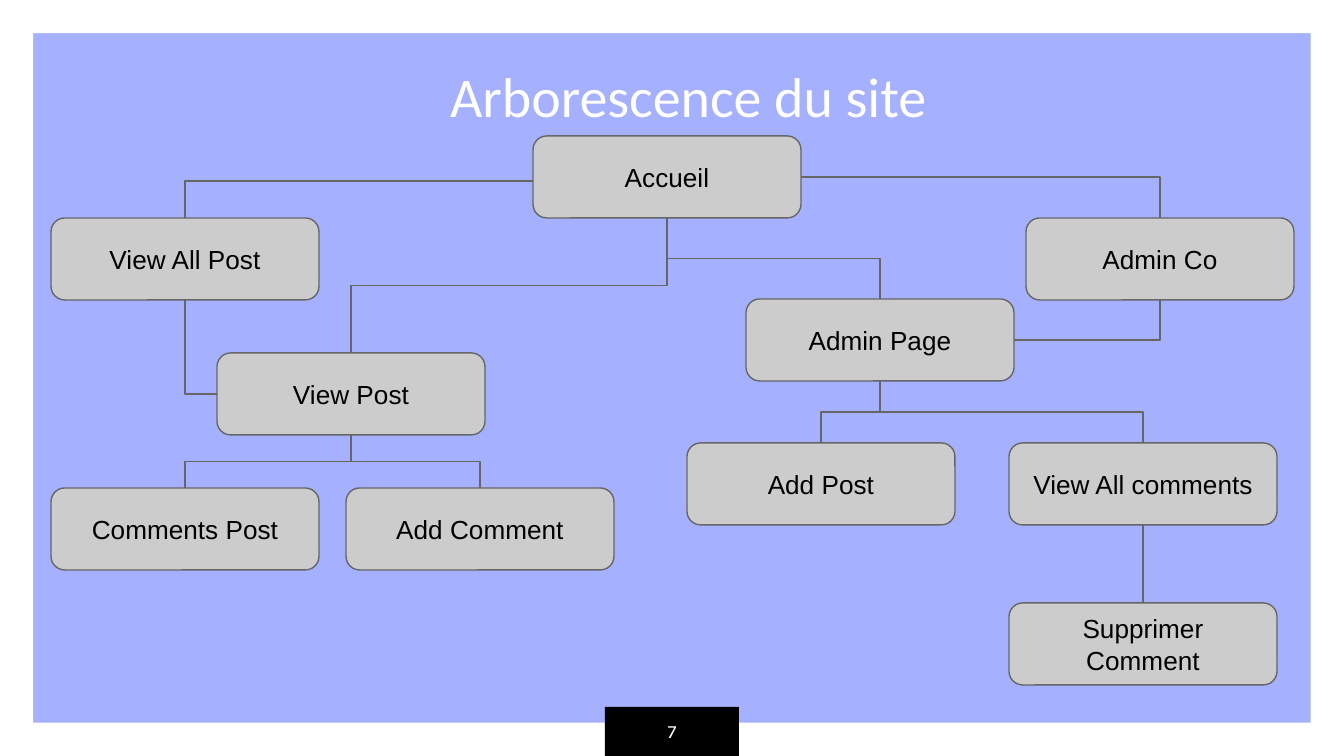
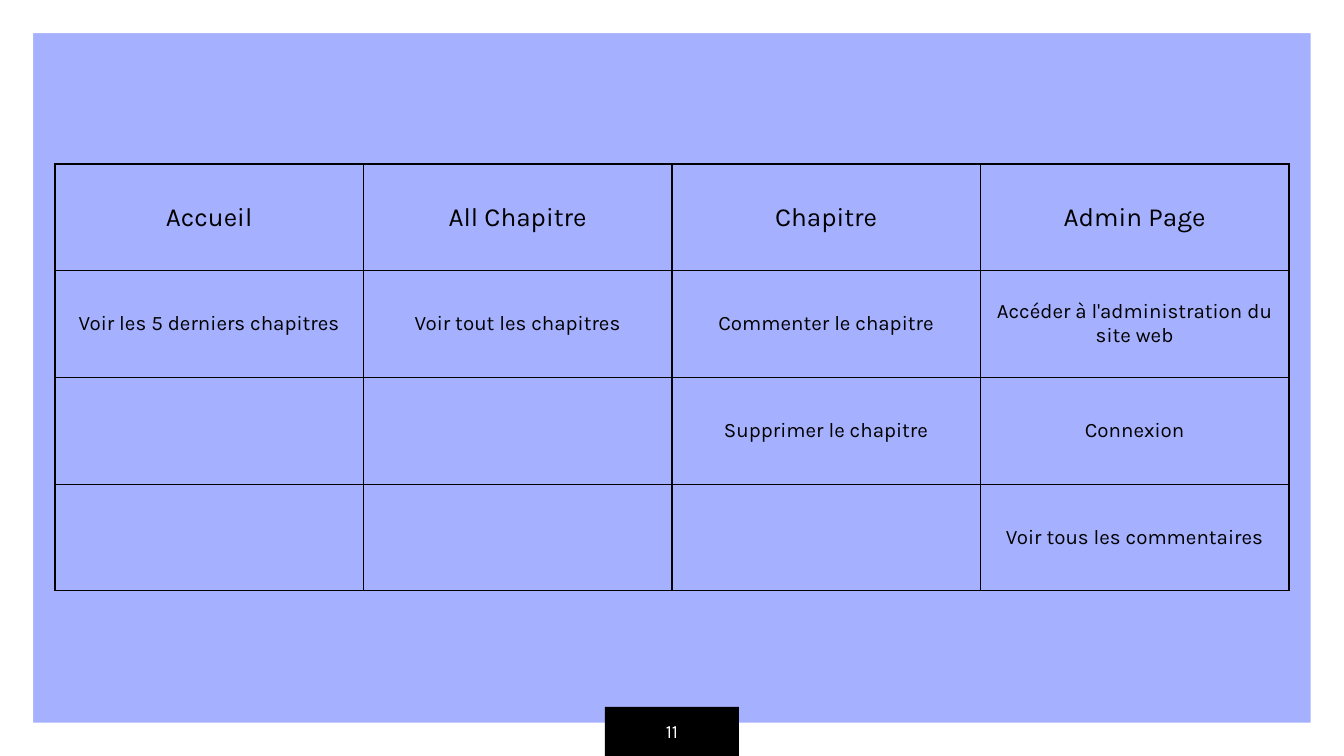
from lxml.etree import SubElement
from pptx import Presentation
from pptx.dml.color import RGBColor
from pptx.enum.shapes import MSO_CONNECTOR as LINK, MSO_SHAPE as SHAPE
from pptx.enum.text import MSO_ANCHOR as ANCHOR, PP_ALIGN as ALIGN
from pptx.oxml.ns import qn
from pptx.util import Pt

EMU_PER_PX = 914400 / 134.4
SLIDE = (0, 0, 1344, 756)
LAVENDER, WHITE, BLACK = "A5B0FE", "FFFFFF", "000000"
NODE_GREY, LINE_GREY = "CCCCCC", "666666"
BODY_FONT, TITLE_FONT, NODE_FONT = "Karla", "Calibri", "Arial"
INSET = 13
HAIRLINE = Pt(0.75)
TOP, LEFT, BOTTOM, RIGHT = range(4)

NODE_SIZE = (268, 82)
PAGES = {
    "Accueil": (482, 0),
    "View All Post": (0, 82),
    "View Post": (166, 217),
    "Admin Co": (975, 82),
    "Admin Page": (695, 163),
    "Comments Post": (0, 352),
    "View All comments": (958, 307),
    "Supprimer Comment": (958, 467),
    "Add Comment": (295, 352),
    "Add Post": (636, 307),
}
BRANCHES = [
    ("Accueil", LEFT, "View All Post", TOP, 4),
    ("Accueil", RIGHT, "Admin Co", TOP, 0),
    ("Accueil", BOTTOM, "View Post", TOP, 0),
    ("Accueil", BOTTOM, "Admin Page", TOP, 0),
    ("Admin Co", BOTTOM, "Admin Page", RIGHT, 0),
    ("View All Post", BOTTOM, "View Post", LEFT, 0),
    ("Admin Page", BOTTOM, "Add Post", TOP, 0),
    ("Admin Page", BOTTOM, "View All comments", TOP, 0),
    ("View Post", BOTTOM, "Comments Post", TOP, 0),
    ("View Post", BOTTOM, "Add Comment", TOP, 0),
]
FEATURES = [
    ["Accueil", "All Chapitre", "Chapitre", "Admin Page"],
    ["Voir les 5 derniers chapitres", "Voir tout les chapitres",
     "Commenter le chapitre", "Accéder à l'administration du site web"],
    ["", "", "Supprimer le chapitre", "Connexion"],
    ["", "", "", "Voir tous les commentaires"],
]


def px(length):
    return round(length * EMU_PER_PX)


def emu(box):
    return [px(length) for length in box]


def rgb(value):
    return RGBColor.from_string(value)


def write(frame, text, size, font, color, anchor=ANCHOR.MIDDLE):
    frame.word_wrap = True
    frame.vertical_anchor = anchor
    frame.margin_left = frame.margin_right = px(INSET)
    frame.margin_top = frame.margin_bottom = px(INSET)
    return write_line(frame.paragraphs[0], text, size, font, color)


def write_line(paragraph, text, size, font, color):
    paragraph.alignment = ALIGN.CENTER
    run = paragraph.add_run()
    run.text = text
    run.font.size = Pt(size)
    run.font.name = font
    run.font.color.rgb = rgb(color)
    return paragraph


def add_block(slide, kind, box, fill, line=None):
    block = slide.shapes.add_shape(kind, *emu(box))
    block.shadow.inherit = False
    block.fill.solid()
    block.fill.fore_color.rgb = rgb(fill)
    if line:
        block.line.color.rgb = rgb(line)
        block.line.width = HAIRLINE
    else:
        block.line.fill.background()
    return block


def add_page(deck, number):
    slide = deck.slides.add_slide(deck.slide_layouts[6])
    slide.background.fill.solid()
    slide.background.fill.fore_color.rgb = rgb(LAVENDER)
    border = add_block(slide, SHAPE.FRAME, SLIDE, WHITE)
    border.adjustments[0] = 0.044
    tab = add_block(slide, SHAPE.RECTANGLE, (605, 707, 134, 49), BLACK)
    write(tab.text_frame, number, 10, BODY_FONT, WHITE)
    return slide


def add_title(slide, box, text):
    title = slide.shapes.add_textbox(*emu(box))
    line = write(title.text_frame, text, 30, TITLE_FONT, WHITE, ANCHOR.BOTTOM)
    properties = line._p.get_or_add_pPr()
    properties.set("marL", str(px(67)))
    properties.set("indent", str(px(-34)))


def side_point(node, side):
    x = node.left + {LEFT: 0, RIGHT: node.width}.get(side, node.width // 2)
    y = node.top + {TOP: 0, BOTTOM: node.height}.get(side, node.height // 2)
    return x, y


def style_link(link):
    link.line.color.rgb = rgb(LINE_GREY)
    link.line.width = HAIRLINE
    SubElement(link._element.spPr, qn("a:effectLst"))


def add_branch(slide, parent, exit_side, child, entry_side, drop):
    x1, y1 = side_point(parent, exit_side)
    x2, y2 = side_point(child, entry_side)
    y1 += px(drop)
    branch = slide.shapes.add_connector(LINK.ELBOW, x1, y1, x2, y2)
    if not drop:
        branch.begin_connect(parent, exit_side)
    branch.end_connect(child, entry_side)
    across, down = abs(x2 - x1), abs(y2 - y1)
    turned = exit_side == BOTTOM
    width, height = (down, across) if turned else (across, down)
    branch.left, branch.top = (x1 + x2 - width) // 2, (y1 + y2 - height) // 2
    branch.width, branch.height = width, height
    transform = branch._element.spPr.xfrm
    transform.flipV = False
    transform.flipH = (x2 > x1) == turned
    if turned:
        transform.rot = 270 if x2 > x1 else 90
    if not (turned and entry_side == TOP):
        geometry = branch._element.spPr.find(qn("a:prstGeom"))
        geometry.set("prst", "bentConnector2")
    style_link(branch)


def add_site_tree(slide, box):
    left, top = box[:2]
    nodes = {}
    for label, (x, y) in PAGES.items():
        node = add_block(slide, SHAPE.ROUNDED_RECTANGLE,
                         (left + x, top + y, *NODE_SIZE), NODE_GREY, LINE_GREY)
        write(node.text_frame, label, 14, NODE_FONT, BLACK)
        nodes[label] = node
    for parent, exit_side, child, entry_side, drop in BRANCHES:
        add_branch(slide, nodes[parent], exit_side, nodes[child], entry_side, drop)
    comments, removal = nodes["View All comments"], nodes["Supprimer Comment"]
    link = slide.shapes.add_connector(
        LINK.STRAIGHT, *side_point(comments, BOTTOM), *side_point(removal, TOP))
    link.begin_connect(comments, BOTTOM)
    link.end_connect(removal, TOP)
    style_link(link)


def add_cell_borders(cell):
    properties = cell._tc.get_or_add_tcPr()
    for edge in ("lnL", "lnR", "lnT", "lnB"):
        border = SubElement(properties, qn(f"a:{edge}"), w=str(HAIRLINE))
        fill = SubElement(border, qn("a:solidFill"))
        SubElement(fill, qn("a:srgbClr"), val=BLACK)


def add_feature_table(slide, box):
    rows, columns = len(FEATURES), len(FEATURES[0])
    table = slide.shapes.add_table(rows, columns, *emu(box)).table
    table.first_row = table.horz_banding = False
    for column in table.columns:
        column.width = px(box[2] / columns)
    for row in table.rows:
        row.height = px(box[3] / rows)
    for r, features in enumerate(FEATURES):
        for c, feature in enumerate(features):
            cell = table.cell(r, c)
            add_cell_borders(cell)
            cell.fill.background()
            cell.vertical_anchor = ANCHOR.MIDDLE
            cell.margin_left = cell.margin_right = px(INSET)
            cell.margin_top = cell.margin_bottom = px(9)
            if feature:
                write_line(cell.text_frame.paragraphs[0], feature,
                           11 if r else 14, BODY_FONT, BLACK)


def main():
    deck = Presentation()
    deck.slide_width, deck.slide_height = emu(SLIDE[2:])
    site_map = add_page(deck, "7")
    add_site_tree(site_map, (51, 136, 1243, 549))
    add_title(site_map, (35, 16, 1274, 126), "Arborescence du site")
    add_feature_table(add_page(deck, "11"), (55, 164, 1234, 427))
    deck.save("out.pptx")


if __name__ == "__main__":
    main()
